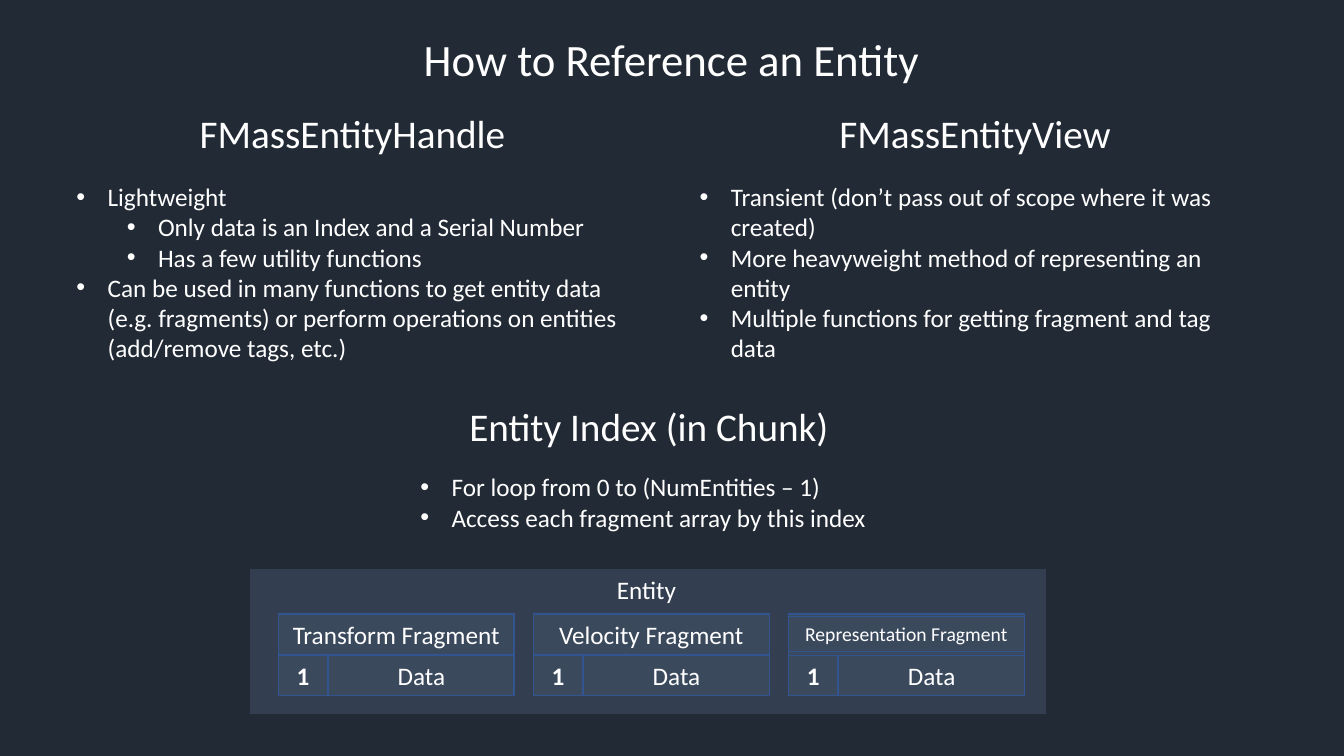
from dataclasses import dataclass
from typing import Any

from lxml import etree
from pptx import Presentation
from pptx import util as u
from pptx.dml import color
from pptx.enum import shapes, text
from pptx.oxml import ns

SCALE = 9144
FONT = "Calibri"
HUES = {
    "back": "222A35",
    "panel": "333F50",
    "card": "44546A",
    "edge": "325491",
    "text": "FFFFFF",
}


@dataclass(frozen=True)
class Box:
    left: int
    top: int
    width: int
    height: int

    def emu(self) -> list[int]:
        return [n * SCALE for n in (self.left, self.top, self.width, self.height)]


@dataclass(frozen=True)
class Item:
    words: str
    level: int = 0


@dataclass(frozen=True)
class Topic:
    title: str
    head: Box
    body: Box
    items: tuple[Item, ...]


@dataclass(frozen=True)
class Part:
    title: str
    size: int = 18
    inset: int = 0


TOPICS = (
    Topic("FMassEntityHandle", Box(186, 103, 327, 57), Box(66, 175, 566, 192), (
        Item("Lightweight"),
        Item("Only data is an Index and a Serial Number", 1),
        Item("Has a few utility functions", 1),
        Item("Can be used in many functions to get entity data (e.g. fragments) "
             "or perform operations on entities (add/remove tags, etc.)"),
    )),
    Topic("FMassEntityView", Box(821, 103, 292, 57), Box(684, 175, 566, 192), (
        Item("Transient (don’t pass out of scope where it was created)"),
        Item("More heavyweight method of representing an entity"),
        Item("Multiple functions for getting fragment and tag data"),
    )),
    Topic("Entity Index (in Chunk)", Box(453, 394, 381, 57), Box(407, 463, 472, 71), (
        Item("For loop from 0 to (NumEntities – 1)"),
        Item("Access each fragment array by this index"),
    )),
)
PARTS = (
    Part("Transform Fragment"),
    Part("Velocity Fragment"),
    Part("Representation Fragment", 14, 3),
)
PANEL = Box(249, 565, 788, 143)
CARD = Box(276, 609, 234, 81)
STEP = 253
ROW = 40
KEY = 49


def hue(name: str) -> color.RGBColor:
    return color.RGBColor.from_string(HUES[name])


def style(para: Any, size: int, bold: bool = False) -> None:
    for run in para.runs:
        run.font.name = FONT
        run.font.size = u.Pt(size)
        run.font.bold = bold
        run.font.color.rgb = hue("text")


def label(shape: Any, words: str, size: int, mid: bool = False,
          left: bool = False, bold: bool = False, wrap: bool = True) -> None:
    frame = shape.text_frame
    frame.text = words
    frame.word_wrap = wrap
    frame.auto_size = text.MSO_AUTO_SIZE.SHAPE_TO_FIT_TEXT
    frame.vertical_anchor = text.MSO_ANCHOR.MIDDLE if mid else text.MSO_ANCHOR.TOP
    para = frame.paragraphs[0]
    para.alignment = text.PP_ALIGN.LEFT if left else text.PP_ALIGN.CENTER
    style(para, size, bold)


def heading(host: Any, box: Box, words: str, size: int) -> None:
    label(host.add_textbox(*box.emu()), words, size, mid=True, wrap=False)


def bullets(host: Any, box: Box, items: tuple[Item, ...]) -> None:
    frame = host.add_textbox(*box.emu()).text_frame
    frame.word_wrap = True
    frame.auto_size = text.MSO_AUTO_SIZE.SHAPE_TO_FIT_TEXT
    frame.text = "\n".join(item.words for item in items)
    for para, item in zip(frame.paragraphs, items):
        para.level = item.level
        style(para, 18)
        props = para._p.get_or_add_pPr()
        props.set("marL", str((31 + 50 * item.level) * SCALE))
        props.set("indent", str(-31 * SCALE))
        etree.SubElement(props, ns.qn("a:buFont")).set("typeface", "Arial")
        etree.SubElement(props, ns.qn("a:buChar")).set("char", "•")


def rect(host: Any, box: Box, edge: str, width: float, fill: str = "",
         alpha: int = 100) -> Any:
    shape = host.add_shape(shapes.MSO_SHAPE.RECTANGLE, *box.emu())
    shape.shadow.inherit = False
    shape.line.color.rgb = hue(edge)
    shape.line.width = u.Pt(width)
    if not fill:
        shape.fill.background()
        return shape
    shape.fill.solid()
    shape.fill.fore_color.rgb = hue(fill)
    if alpha < 100:
        tint = shape._element.spPr.find(ns.qn("a:solidFill"))[0]
        etree.SubElement(tint, ns.qn("a:alpha")).set("val", str(alpha * 1000))
    return shape


def cell(host: Any, box: Box, words: str, size: int = 18,
         mid: bool = False, bold: bool = False) -> None:
    label(rect(host, box, "edge", 0.75), words, size, mid=mid, bold=bold)


def card(host: Any, part: Part, left: int) -> None:
    low = CARD.top + CARD.height - ROW
    rect(host, Box(left, CARD.top, CARD.width, CARD.height), "edge", 1, "card", 50)
    top = Box(left, CARD.top + part.inset, CARD.width, ROW - 2 * part.inset)
    cell(host, top, part.title, part.size, mid=part.inset > 0)
    cell(host, Box(left + KEY + 1, low, CARD.width - KEY - 1, ROW), "Data")
    cell(host, Box(left, low, KEY, ROW), "1", bold=True)


def main() -> None:
    deck = Presentation()
    deck.slide_width, deck.slide_height = u.Inches(13.33), u.Inches(7.5)
    slide = deck.slides.add_slide(deck.slide_layouts[6])
    slide.background.fill.solid()
    slide.background.fill.fore_color.rgb = hue("back")

    heading(slide.shapes, Box(408, 26, 516, 64), "How to Reference an Entity", 32)
    for topic in TOPICS:
        host = slide.shapes.add_group_shape().shapes
        heading(host, topic.head, topic.title, 28)
        bullets(host, topic.body, topic.items)

    host = slide.shapes.add_group_shape().shapes
    rect(host, PANEL, "panel", 1, "panel")
    name = host.add_textbox(*Box(602, PANEL.top, 83, ROW).emu())
    label(name, "Entity", 18, left=True)
    for i, part in enumerate(PARTS):
        card(host, part, CARD.left + i * STEP)

    deck.save("out.pptx")


if __name__ == "__main__":
    main()
